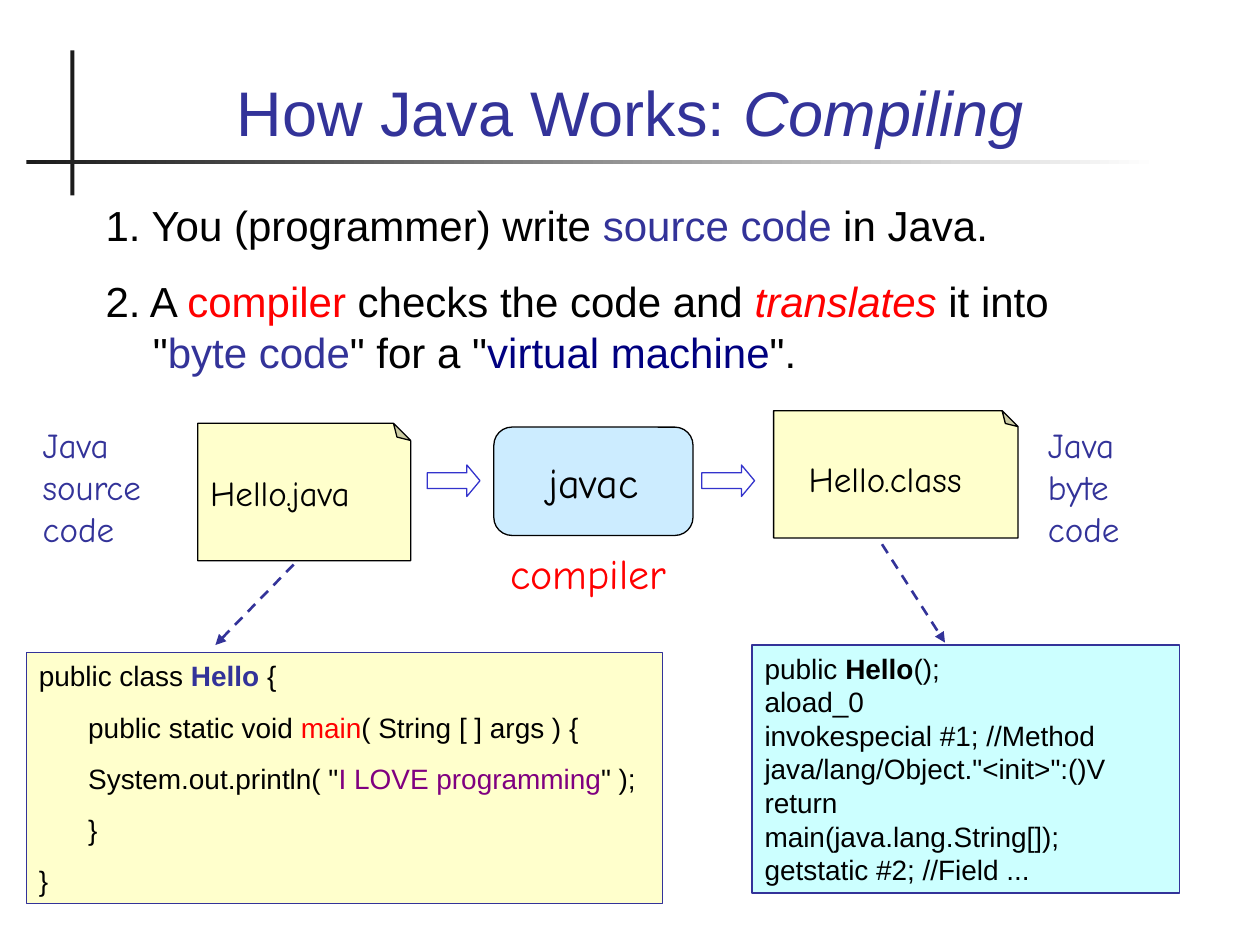
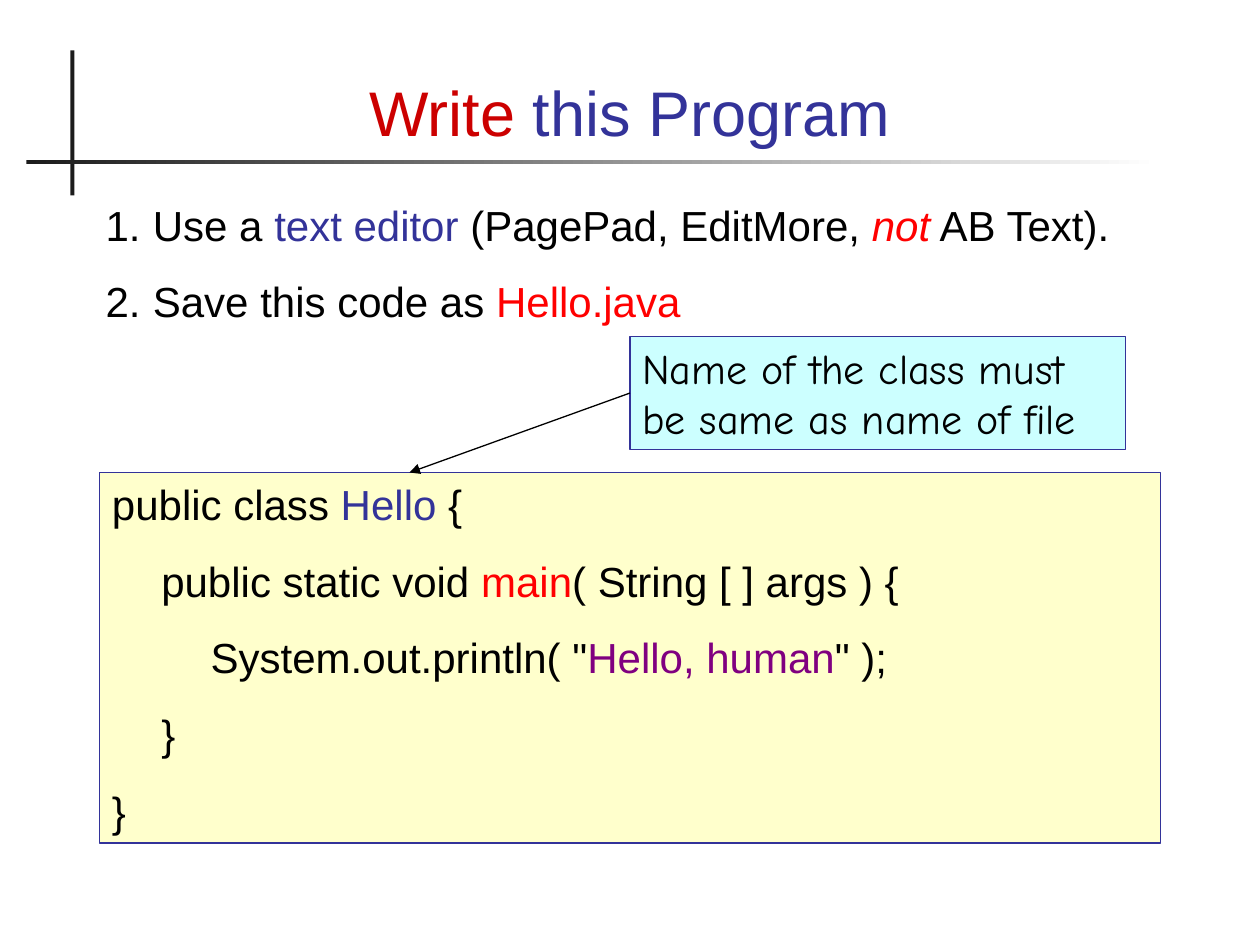
from dataclasses import dataclass
from typing import NamedTuple

from lxml import etree
from pptx import Presentation
from pptx.dml.color import RGBColor
from pptx.enum.dml import MSO_LINE
from pptx.enum.shapes import MSO_CONNECTOR, MSO_SHAPE
from pptx.enum.text import MSO_ANCHOR, MSO_AUTO_SIZE, PP_ALIGN
from pptx.oxml.ns import qn
from pptx.util import Pt

RECT = MSO_SHAPE.RECTANGLE
ROUND_RECT = MSO_SHAPE.ROUNDED_RECTANGLE
FOLDED = MSO_SHAPE.FOLDED_CORNER
RIGHT_ARROW = MSO_SHAPE.RIGHT_ARROW
STRAIGHT = MSO_CONNECTOR.STRAIGHT
DASH = MSO_LINE.DASH
TOP, MIDDLE, BOTTOM = MSO_ANCHOR.TOP, MSO_ANCHOR.MIDDLE, MSO_ANCHOR.BOTTOM
LEFT, CENTER = PP_ALIGN.LEFT, PP_ALIGN.CENTER
NO_AUTOSIZE = MSO_AUTO_SIZE.NONE

BLACK = RGBColor(0x00, 0x00, 0x00)
WHITE = RGBColor(0xFF, 0xFF, 0xFF)
INK = RGBColor(0x1C, 0x1C, 0x1C)
INDIGO = RGBColor(0x33, 0x33, 0x99)
ARROW_BLUE = RGBColor(0x33, 0x33, 0xCC)
NAVY = RGBColor(0x00, 0x00, 0x80)
RED = RGBColor(0xFF, 0x00, 0x00)
DARK_RED = RGBColor(0xCC, 0x00, 0x00)
PURPLE = RGBColor(0x80, 0x00, 0x80)
CREAM = RGBColor(0xFF, 0xFF, 0xCC)
SKY = RGBColor(0xCC, 0xEC, 0xFF)
CYAN = RGBColor(0xCC, 0xFF, 0xFF)

SANS = "Arial"
HAND = "Comic Neue"
INDENT = 28.2
HANG = 27


class Box(NamedTuple):
    left: float
    top: float
    width: float
    height: float


class Run(NamedTuple):
    text: str
    color: RGBColor | None = None
    bold: bool = False
    italic: bool = False


@dataclass
class Line:
    runs: list[Run]
    level: int = 0


@dataclass
class Label:
    text: str
    box: Box
    color: RGBColor
    size: float = 20


@dataclass
class Panel:
    box: Box
    fill: RGBColor
    lines: list[Line]
    size: float
    gap: float
    font: str = SANS


@dataclass
class Arrow:
    start: tuple[float, float]
    end: tuple[float, float]
    color: RGBColor
    width: float
    dashed: bool = False


def points(values) -> list:
    return [Pt(v) for v in values]


def line(*runs: Run | str, level: int = 0) -> Line:
    return Line([Run(r) if isinstance(r, str) else r for r in runs], level)


def write(tf, lines: list[Line], *, size: float, font: str = SANS,
          color: RGBColor = BLACK, gap: float = 0, hang: float = 0,
          align=LEFT, anchor=TOP) -> None:
    tf.word_wrap = True
    tf.auto_size = NO_AUTOSIZE
    tf.vertical_anchor = anchor
    for i, item in enumerate(lines):
        p = tf.paragraphs[0] if i == 0 else tf.add_paragraph()
        p.alignment = align
        p.space_before = Pt(gap if i else 0)
        pPr = p._p.get_or_add_pPr()
        pPr.set("marL", str(Pt(hang + item.level * INDENT)))
        pPr.set("indent", str(-Pt(hang)))
        for run in item.runs:
            r = p.add_run()
            r.text = run.text
            r.font.name = font
            r.font.size = Pt(size)
            r.font.bold = run.bold
            r.font.italic = run.italic
            r.font.color.rgb = run.color or color


def add_shape(s, kind, box: Box, fill: RGBColor | None = None,
              outline: RGBColor | None = None, adjust: tuple = ()):
    sp = s.shapes.add_shape(kind, *points(box))
    sp.shadow.inherit = False
    for i, value in enumerate(adjust):
        sp.adjustments[i] = value
    if fill is None:
        sp.fill.background()
    else:
        sp.fill.solid()
        sp.fill.fore_color.rgb = fill
    if outline is None:
        sp.line.fill.background()
    else:
        sp.line.color.rgb = outline
        sp.line.width = Pt(0.75)
    return sp


def add_text(s, box: Box, lines: list[Line], **fmt) -> None:
    write(s.shapes.add_textbox(*points(box)).text_frame, lines, **fmt)


def add_label(s, label: Label) -> None:
    add_text(s, label.box, [line(label.text)], size=label.size, font=HAND, color=label.color)


def add_panel(s, panel: Panel):
    sp = add_shape(s, RECT, panel.box, panel.fill, INDIGO)
    write(sp.text_frame, panel.lines, size=panel.size, font=panel.font, gap=panel.gap)
    return sp


def add_file(s, box: Box) -> None:
    spPr = add_shape(s, FOLDED, box, CREAM, BLACK).element.spPr
    spPr.find(qn("a:xfrm")).set("flipV", "1")
    geom = spPr.find(qn("a:prstGeom"))
    for guides in geom.findall(qn("a:avLst")):
        geom.remove(guides)
    guides = etree.SubElement(geom, qn("a:avLst"))
    etree.SubElement(guides, qn("a:gd"), name="adj", fmla="val 12500")


def add_arrow(s, arrow: Arrow):
    cx = s.shapes.add_connector(STRAIGHT, *points(arrow.start + arrow.end))
    cx.line.color.rgb = arrow.color
    cx.line.width = Pt(arrow.width)
    if arrow.dashed:
        cx.line.dash_style = DASH
    spPr = cx.element.spPr
    etree.SubElement(spPr.find(qn("a:ln")), qn("a:tailEnd"), type="triangle")
    etree.SubElement(spPr, qn("a:effectLst"))
    return cx


def new_slide(prs, title: Line):
    s = prs.slides.add_slide(prs.slide_layouts[5])
    add_shape(s, RECT, Box(40.3, 28.8, 2.2, 82.8), INK)
    rule = add_shape(s, RECT, Box(15.1, 91.4, 647.3, 2.2), INK)
    rule.fill.gradient()
    rule.fill.gradient_angle = 0
    for stop, color in zip(rule.fill.gradient_stops, (INK, WHITE)):
        stop.color.rgb = color
    sp = s.shapes.title
    sp.left, sp.top, sp.width, sp.height = points((48.2, 20.2, 623.5, 68.4))
    write(sp.text_frame, [title], size=36, color=INDIGO, align=CENTER, anchor=BOTTOM)
    return s


def add_steps(s, width: float, height: float, steps: list[Line]) -> None:
    add_text(s, Box(53.3, 110.2, width, height), steps, size=24, gap=15, hang=HANG)


def hello_code(name: Run, message: str, print_level: int) -> list[Line]:
    return [
        line("public class ", name, " {"),
        line("public static void ", Run("main", RED), "( String [ ] args ) {", level=1),
        line('System.out.println( "', Run(message, PURPLE), '" );', level=print_level),
        line("}", level=1),
        line("}"),
    ]


def build_compiling(prs) -> None:
    s = new_slide(prs, line("How Java Works: ", Run("Compiling", italic=True)))
    add_steps(s, 607, 147.6, [
        line("1. You (programmer) write ", Run("source code", INDIGO), " in Java."),
        line("2. A ", Run("compiler", RED), " checks the code and ",
             Run("translates", RED, italic=True), ' it into "', Run("byte code", INDIGO),
             '" for a "', Run("virtual machine", NAVY), '".'),
    ])
    add_file(s, Box(113, 241.9, 121.7, 78.5))
    add_file(s, Box(442.1, 234.7, 139.7, 72.7))
    javac = add_shape(s, ROUND_RECT, Box(282.2, 244.1, 113.8, 61.9), SKY, BLACK, (0.167,))
    write(javac.text_frame, [line("javac")], size=24, font=HAND, align=CENTER, anchor=MIDDLE)
    for label in (
        Label("Hello.java", Box(113, 265.7, 121.7, 31.7), BLACK),
        Label("compiler", Box(284.4, 309.6, 118.1, 36), RED, 24),
        Label("Hello.class", Box(455, 257.8, 118.1, 31.7), BLACK),
        Label("Java byte code", Box(591.8, 238.3, 74.9, 79.2), INDIGO),
        Label("Java source code", Box(17.3, 238.3, 87.8, 79.2), INDIGO),
    ):
        add_label(s, label)
    for left in (244.1, 401):
        add_shape(s, RIGHT_ARROW, Box(left, 265.7, 30.2, 18), None, ARROW_BLUE, (0.5, 0.417))
    source = hello_code(Run("Hello", INDIGO, bold=True), "I LOVE programming", 1)
    byte_code = [
        line("public ", Run("Hello", bold=True), "();"),
        line("aload_0"),
        line('invokespecial #1; //Method java/lang/Object."<init>":()V'),
        line("return"),
        line("main(java.lang.String[]);"),
        line("getstatic #2; //Field ..."),
    ]
    add_panel(s, Panel(Box(15.1, 373, 363.6, 143.3), CREAM, source, 16, 10))
    add_panel(s, Panel(Box(429.8, 368.6, 244.1, 141.8), CYAN, byte_code, 16, 0))
    add_arrow(s, Arrow((167.8, 322.6), (123.1, 368.6), INDIGO, 1.5, True))
    add_arrow(s, Arrow((504, 311), (540, 367.2), INDIGO, 1.5, True))


def build_write_program(prs) -> None:
    s = new_slide(prs, line(Run("Write", DARK_RED), " this Program"))
    add_steps(s, 623.5, 100.1, [
        line("1.\tUse a ", Run("text editor", INDIGO), " (PagePad, EditMore, ",
             Run("not", RED, italic=True), " AB Text)."),
        line("2.\tSave this code as ", Run("Hello.java", RED)),
    ])
    code = hello_code(Run("Hello", INDIGO), "Hello, human", 2)
    add_panel(s, Panel(Box(56.9, 270, 606.2, 211.7), CREAM, code, 24, 15))
    note = [line("Name of the class must be same as name of file")]
    callout = add_panel(s, Panel(Box(360, 192.2, 283, 64.8), CYAN, note, 24, 0, HAND))
    pointer = add_arrow(s, Arrow((360, 224.6), (234, 270), BLACK, 0.75))
    pointer.begin_connect(callout, 1)


def main() -> None:
    prs = Presentation()
    prs.slide_width, prs.slide_height = Pt(720), Pt(540)
    build_compiling(prs)
    build_write_program(prs)
    prs.save("out.pptx")


if __name__ == "__main__":
    main()
